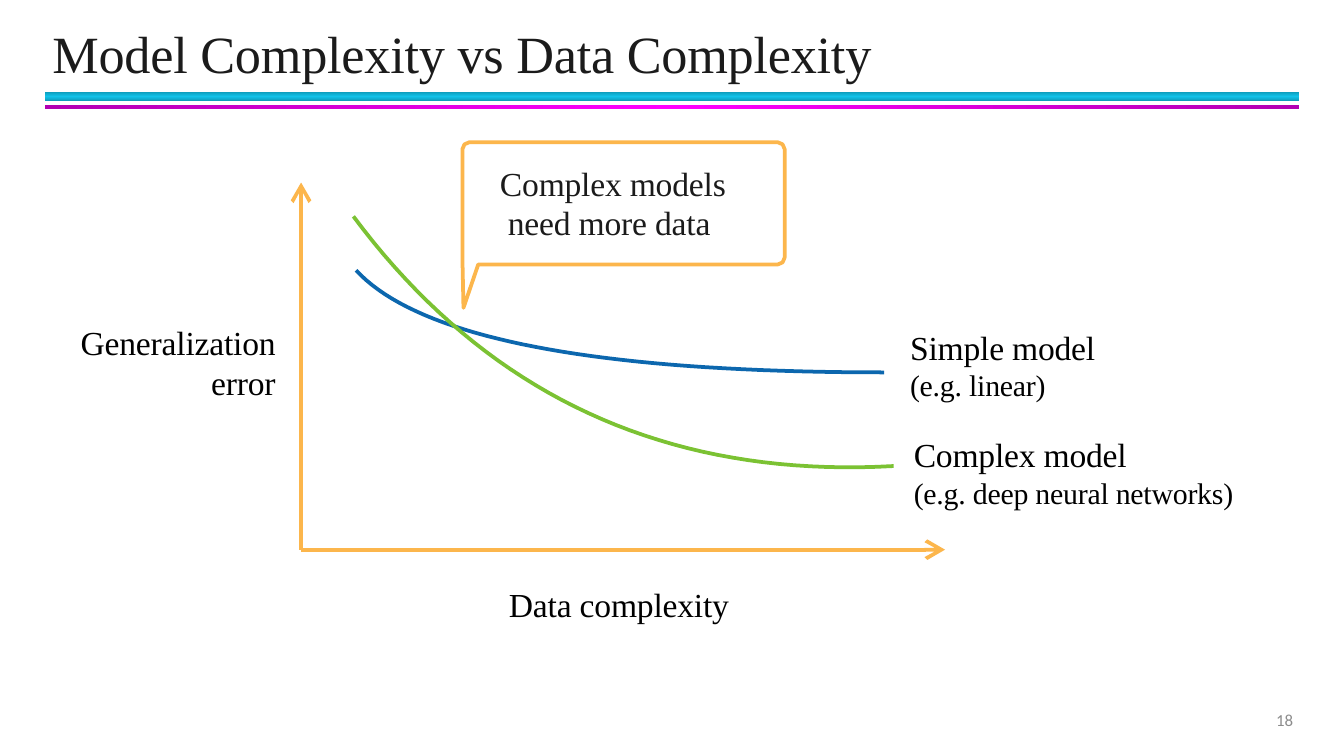
from copy import deepcopy
from dataclasses import dataclass

from lxml import etree
from pptx import Presentation
from pptx import util as u
from pptx.dml.color import RGBColor
from pptx.enum import shapes, text
from pptx.oxml.ns import qn

CYAN_EDGE, CYAN = RGBColor(0x0E, 0x9B, 0xBA), RGBColor(0x12, 0xC2, 0xE9)
MAGENTA_EDGE, MAGENTA = RGBColor(0xB2, 0x00, 0xB2), RGBColor(0xFF, 0x00, 0xFF)
ORANGE = RGBColor(0xFC, 0xB6, 0x4C)
BLUE = RGBColor(0x0C, 0x67, 0xAE)
GREEN = RGBColor(0x7B, 0xC2, 0x33)
WHITE = RGBColor(0xFF, 0xFF, 0xFF)
BLACK = RGBColor(0x00, 0x00, 0x00)
INK = RGBColor(0x1B, 0x1B, 0x1B)
GREY = RGBColor(0x8C, 0x8C, 0x8C)

SERIF = "Times New Roman"
LEFT, RIGHT = text.PP_ALIGN.LEFT, text.PP_ALIGN.RIGHT
LINE_WIDTH = u.Pt(2)
CURVE_STEPS = 40

Point = tuple[float, float]


@dataclass
class Bar:
    top: float
    height: float
    edge: RGBColor
    middle: RGBColor
    angle: int


@dataclass
class Curve:
    """A quadratic curve; the control point sets both end slopes."""
    start: Point
    control: Point
    end: Point
    color: RGBColor

    def points(self) -> list[Point]:
        steps = [i / CURVE_STEPS for i in range(CURVE_STEPS + 1)]
        return [tuple((1 - t) ** 2 * a + 2 * t * (1 - t) * b + t * t * c
                      for a, b, c in zip(self.start, self.control, self.end))
                for t in steps]


@dataclass
class Line:
    words: str
    size: float = 18
    spacing: float | None = None


@dataclass
class Label:
    box: tuple[float, float, float, float]
    lines: list[Line]
    align: text.PP_ALIGN = LEFT
    color: RGBColor = BLACK
    font: str = SERIF
    margin_top: float = 0.03
    hanging: tuple[float, float] = (0, 0)
    tracking: int = -10


BARS = [Bar(1.74, 0.17, CYAN_EDGE, CYAN, 90),
        Bar(1.98, 0.09, MAGENTA_EDGE, MAGENTA, 0)]

ORIGIN = (5.69, 10.39)
AXIS_ENDS = [(17.86, ORIGIN[1]), (ORIGIN[0], 3.45)]

CURVES = [Curve((6.73, 5.11), (8.51, 7.04), (16.71, 7.04), BLUE),
          Curve((6.68, 4.09), (10.46, 9.17), (16.89, 8.81), GREEN)]

TITLE = Label((0.99, 0.36, 16.64, 1.24),
              [Line("Model Complexity vs Data Complexity", 28)], color=INK)

LABELS = [
    Label((0.76, 6.07, 4.45, 1.57),
          [Line("Generalization", spacing=21.3), Line("error", spacing=21.3)],
          align=RIGHT),
    Label((17.2, 6.15, 5.89, 1.5),
          [Line("Simple model", spacing=21.6), Line("(e.g. linear)", 16, 19.1)]),
    Label((9.4, 3.02, 4.75, 1.57),
          [Line("Complex models\vneed more data", spacing=21)],
          color=INK, margin_top=0.08, hanging=(0.2, -0.15)),
    Label((17.27, 8.18, 7, 1.5),
          [Line("Complex model", spacing=21.6),
           Line("(e.g. deep neural networks)", 16, 19.1)]),
    Label((9.62, 11, 6, 0.75), [Line("Data complexity")]),
    Label((18.72, 13.23, 5.72, 0.76), [Line("18", 9)], align=RIGHT,
          color=GREY, font="Calibri", margin_top=0.18, tracking=0),
]


def draw_bar(page, bar: Bar) -> None:
    shape = page.shapes.add_shape(shapes.MSO_SHAPE.RECTANGLE, u.Cm(0.85),
                                  u.Cm(bar.top), u.Cm(23.7), u.Cm(bar.height))
    shape.shadow.inherit = False
    shape.line.fill.background()
    shape.fill.gradient()
    shape.fill.gradient_angle = bar.angle
    stop_list = shape.element.spPr.find(".//" + qn("a:gsLst"))
    stop_list.append(deepcopy(stop_list[-1]))
    for stop, position, color in zip(shape.fill.gradient_stops, (0, 0.5, 1),
                                     (bar.edge, bar.middle, bar.edge)):
        stop.position = position
        stop.color.rgb = color


def draw_axis(page, end: Point) -> None:
    axis = page.shapes.add_connector(shapes.MSO_CONNECTOR.STRAIGHT,
                                     *(u.Cm(v) for v in ORIGIN + end))
    axis.line.color.rgb = ORANGE
    axis.line.width = LINE_WIDTH
    etree.SubElement(axis.line._get_or_add_ln(), qn("a:tailEnd"),
                     type="arrow", w="lg", len="lg")
    etree.SubElement(axis.element.spPr, qn("a:effectLst"))


def draw_outline(page, points: list[Point], color: RGBColor,
                 closed: bool = False) -> None:
    first, *rest = [(u.Cm(x), u.Cm(y)) for x, y in points]
    builder = page.shapes.build_freeform(*first)
    builder.add_line_segments(rest, close=closed)
    shape = builder.convert_to_shape()
    shape.shadow.inherit = False
    shape.line.color.rgb = color
    shape.line.width = LINE_WIDTH
    if closed:
        shape.fill.solid()
        shape.fill.fore_color.rgb = WHITE
    else:
        shape.fill.background()


def callout_points() -> list[Point]:
    """Rounded box with a narrow tail below its left corner."""
    left, top, right, bottom, radius = 8.74, 2.69, 14.83, 5.0, 0.13
    tail = [(9.04, bottom), (8.76, 5.82), (left, bottom - radius)]

    def corner(x: float, y: float, dx: int, dy: int) -> list[Point]:
        bend = 0.3 * radius
        return [(x, y + dy * radius), (x + dx * bend, y + dy * bend),
                (x + dx * radius, y)]

    return (corner(left, top, 1, 1) + corner(right, top, -1, 1)[::-1]
            + corner(right, bottom, -1, -1) + tail)


def write_label(box, label: Label, anchor=text.MSO_ANCHOR.TOP) -> None:
    box.left, box.top, box.width, box.height = (u.Cm(v) for v in label.box)
    frame = box.text_frame
    frame_format = {"word_wrap": True, "vertical_anchor": anchor,
                    "auto_size": text.MSO_AUTO_SIZE.NONE,
                    "margin_left": 0, "margin_right": 0, "margin_bottom": 0,
                    "margin_top": u.Cm(label.margin_top)}
    for name, value in frame_format.items():
        setattr(frame, name, value)
    for index, line in enumerate(label.lines):
        para = frame.add_paragraph() if index else frame.paragraphs[0]
        para.text = line.words
        para.alignment = label.align
        if line.spacing:
            para.line_spacing = u.Pt(line.spacing)
        para.space_before = u.Pt(0 if index else 1)
        margin, indent = label.hanging
        properties = para._p.get_or_add_pPr()
        properties.set("marL", str(u.Cm(margin)))
        properties.set("indent", str(u.Cm(indent)))
        font_format = {"name": label.font, "size": u.Pt(line.size), "bold": False}
        for span in para.runs:
            for name, value in font_format.items():
                setattr(span.font, name, value)
            span.font.color.rgb = label.color
            span._r.get_or_add_rPr().set("spc", str(label.tracking))


def main() -> None:
    deck = Presentation()
    deck.slide_width, deck.slide_height = u.Cm(25.4), u.Cm(14.29)
    page = deck.slides.add_slide(deck.slide_layouts.get_by_name("Title Only"))
    for bar in BARS:
        draw_bar(page, bar)
    write_label(page.shapes.title, TITLE, text.MSO_ANCHOR.MIDDLE)
    for end in AXIS_ENDS:
        draw_axis(page, end)
    for curve in CURVES:
        draw_outline(page, curve.points(), curve.color)
    draw_outline(page, callout_points(), ORANGE, closed=True)
    for label in LABELS:
        write_label(page.shapes.add_textbox(0, 0, 0, 0), label)
    deck.save("out.pptx")


if __name__ == "__main__":
    main()
